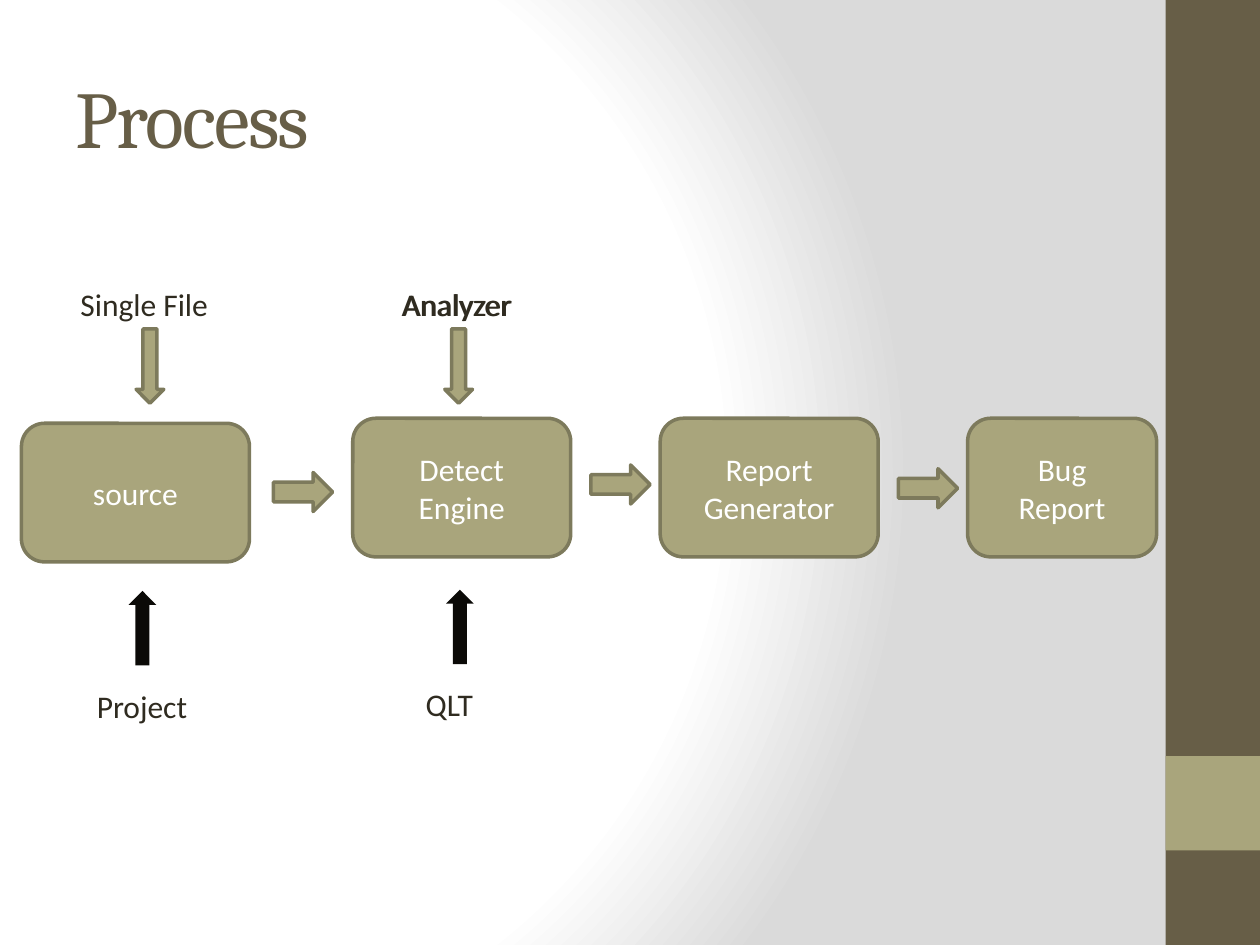
from dataclasses import dataclass

from lxml import etree
from pptx import Presentation
from pptx.dml.color import RGBColor
from pptx.enum.shapes import MSO_SHAPE as Shape
from pptx.enum.text import MSO_ANCHOR as Anchor, MSO_AUTO_SIZE as AutoSize, PP_ALIGN as Align
from pptx.oxml import parse_xml
from pptx.oxml.ns import nsdecls, qn
from pptx.util import Inches, Pt


@dataclass(frozen=True)
class Theme:
    band: str = "675E47"
    accent: str = "A9A57C"
    outline: str = "7D7A5C"
    ink: str = "2F2B20"
    dark: str = "0B0A07"
    white: str = "FFFFFF"
    shade: str = "DADADA"
    heading: str = "Cambria"
    body: str = "Calibri"
    title_size: int = 46
    body_size: int = 18
    line_width: int = 2


@dataclass(frozen=True)
class Step:
    text: str
    x: float
    y: float
    w: float


@dataclass(frozen=True)
class Label:
    text: str
    x: float
    y: float
    w: float


@dataclass(frozen=True)
class Arrow:
    kind: Shape
    x: float
    y: float
    up: bool = False


T = Theme()
STEP_H = 1.1
LABEL_H = 0.4
ARROW_SIZE = {Shape.RIGHT_ARROW: (0.47, 0.31), Shape.DOWN_ARROW: (0.22, 0.59)}

STEPS = [
    Step("source", 0.17, 3.36, 1.81),
    Step("Detect\nEngine", 2.8, 3.32, 1.73),
    Step("Report\nGenerator", 5.24, 3.32, 1.73),
    Step("Bug\nReport", 7.68, 3.32, 1.5),
]
LABELS = [
    Label("Single File", 0.54, 2.21, 1.23),
    Label("Project", 0.67, 5.4, 0.93),
    Label("Analyzer", 3.1, 2.21, 1.13),
    Label("Analyzer", 3.09, 2.21, 1.13),
    Label("QLT", 3.28, 5.39, 0.7),
]
ARROWS = [
    Arrow(Shape.RIGHT_ARROW, 2.17, 3.75),
    Arrow(Shape.RIGHT_ARROW, 4.69, 3.69),
    Arrow(Shape.RIGHT_ARROW, 7.13, 3.72),
    Arrow(Shape.DOWN_ARROW, 1.08, 2.61),
    Arrow(Shape.DOWN_ARROW, 3.53, 2.61),
    Arrow(Shape.DOWN_ARROW, 1.02, 4.69, up=True),
    Arrow(Shape.DOWN_ARROW, 3.54, 4.68, up=True),
]


def write(tf, text: str, *, size=T.body_size, font=T.body, color=T.ink,
          align=Align.LEFT, anchor=Anchor.TOP, wrap=True, spacing=0) -> None:
    tf.word_wrap = wrap
    tf.vertical_anchor = anchor
    for i, line in enumerate(text.split("\n")):
        p = tf.paragraphs[0] if i == 0 else tf.add_paragraph()
        p.alignment = align
        r = p.add_run()
        r.text = line
        r.font.size = Pt(size)
        r.font.name = font
        r.font.color.rgb = RGBColor.from_string(color)
        if spacing:
            r.font._element.set("spc", str(spacing * 100))


def add_block(s, kind: Shape, x: float, y: float, w: float, h: float,
              fill: str, line: str | None = None):
    sp = s.shapes.add_shape(kind, Inches(x), Inches(y), Inches(w), Inches(h))
    sp.shadow.inherit = False
    sp.fill.solid()
    sp.fill.fore_color.rgb = RGBColor.from_string(fill)
    if line:
        sp.line.color.rgb = RGBColor.from_string(line)
        sp.line.width = Pt(T.line_width)
    else:
        sp.line.fill.background()
    return sp


def add_text(s, text: str, x: float, y: float, w: float, h: float, **fmt):
    sp = s.shapes.add_textbox(Inches(x), Inches(y), Inches(w), Inches(h))
    write(sp.text_frame, text, **fmt)
    return sp


def add_step(s, step: Step) -> None:
    sp = add_block(s, Shape.ROUNDED_RECTANGLE, step.x, step.y, step.w, STEP_H,
                   T.accent, T.outline)
    write(sp.text_frame, step.text, color=T.white, align=Align.CENTER, anchor=Anchor.MIDDLE)


def add_label(s, label: Label) -> None:
    sp = add_text(s, label.text, label.x, label.y, label.w, LABEL_H, wrap=False)
    sp.text_frame.auto_size = AutoSize.SHAPE_TO_FIT_TEXT


def add_arrow(s, arrow: Arrow) -> None:
    fill, line = (T.dark, None) if arrow.up else (T.accent, T.outline)
    sp = add_block(s, arrow.kind, arrow.x, arrow.y, *ARROW_SIZE[arrow.kind], fill, line)
    if arrow.up:
        sp.rotation = 180


def paint_background(s) -> None:
    s.background.fill.gradient()
    old = s.element.find(f".//{qn('p:bgPr')}/{qn('a:gradFill')}")
    new = parse_xml(f'<a:gradFill {nsdecls("a")} rotWithShape="1"/>')
    stops = etree.SubElement(new, qn("a:gsLst"))
    for pos, color in ((0, T.white), (75, T.white), (100, T.shade)):
        stop = etree.SubElement(stops, qn("a:gs"), pos=str(pos * 1000))
        etree.SubElement(stop, qn("a:srgbClr"), val=color)
    circle = etree.SubElement(new, qn("a:path"), path="circle")
    etree.SubElement(circle, qn("a:fillToRect"), l="20000", t="50000", r="100000", b="50000")
    old.getparent().replace(old, new)


def build() -> None:
    prs = Presentation()
    prs.slide_width, prs.slide_height = Inches(10), Inches(7.5)
    s = prs.slides.add_slide(prs.slide_layouts[6])
    paint_background(s)
    add_block(s, Shape.RECTANGLE, 9.25, 0, 0.75, 7.5, T.band)
    add_block(s, Shape.RECTANGLE, 9.25, 6, 0.75, 0.75, T.accent)
    add_text(s, "Process", 0.5, 0.3, 8.33, 1.25, size=T.title_size, font=T.heading,
             color=T.band, anchor=Anchor.MIDDLE, spacing=-1)
    for step in STEPS:
        add_step(s, step)
    for label in LABELS:
        add_label(s, label)
    for arrow in ARROWS:
        add_arrow(s, arrow)
    prs.save("out.pptx")


build()
